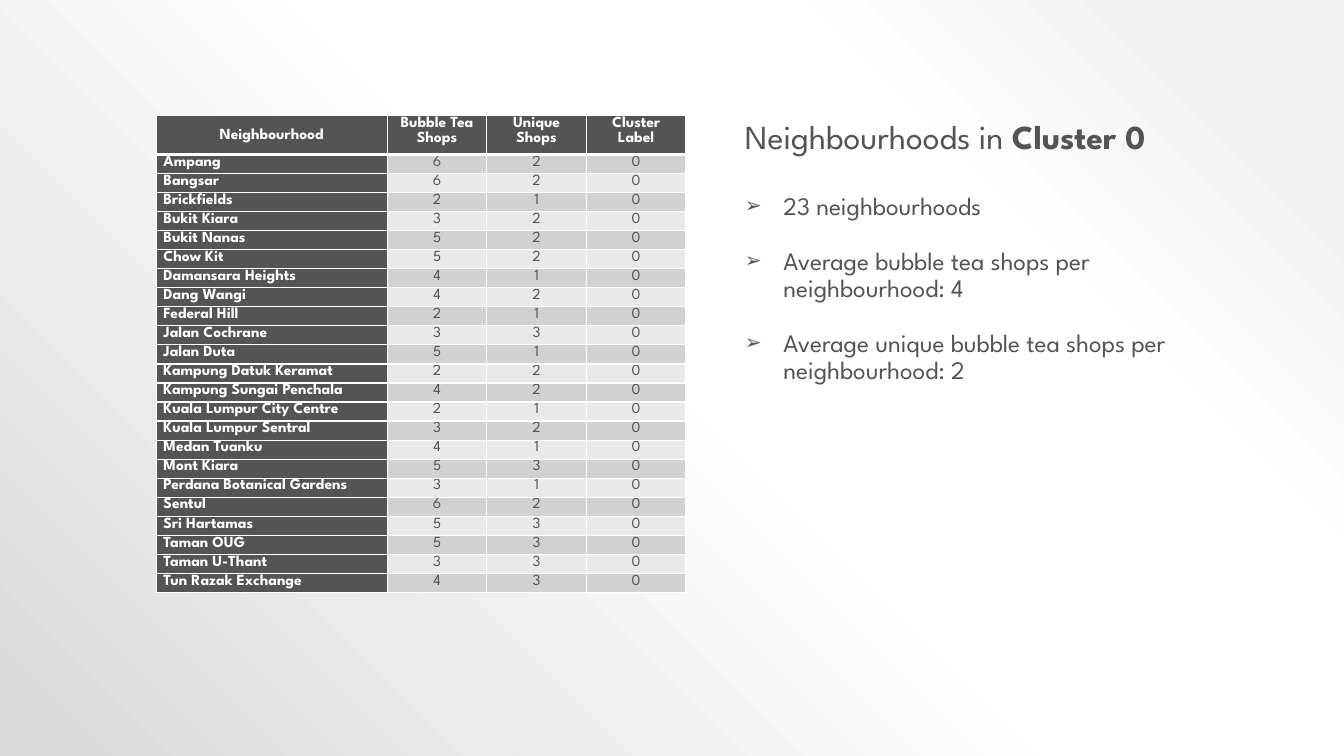
from typing import NamedTuple

from pptx import Presentation
from pptx import oxml
from pptx import util as u
from pptx.dml.color import RGBColor
from pptx.enum import text
from pptx.oxml import ns

FONT = "League Spartan"
CHARCOAL = RGBColor(0x54, 0x54, 0x54)
WHITE = RGBColor(0xFF, 0xFF, 0xFF)
BANDS = (RGBColor(0xD1, 0xD1, 0xD1), RGBColor(0xE9, 0xE9, 0xE9))
BACKDROP_STOPS = (
    (10, RGBColor(0xF2, 0xF2, 0xF2)),
    (28, WHITE),
    (48, WHITE),
    (100, RGBColor(0xD9, 0xD9, 0xD9)),
)

TOP = u.Cm(2.92)
HEADER_HEIGHT = u.Cm(0.97)
ROW_HEIGHT = u.Cm(0.48)
COLUMN_WIDTHS = (u.Cm(5.82), u.Cm(2.51), u.Cm(2.51), u.Cm(2.51))
PANEL_LEFT = u.Cm(18.52)
PANEL_WIDTH = u.Cm(13.21)
BULLET_INDENT = u.Cm(0.97)


class Neighbourhood(NamedTuple):
    name: str
    shops: int
    unique: int
    cluster: int = 0


class CellStyle(NamedTuple):
    fill: RGBColor
    ink: RGBColor
    bold: bool
    align: text.PP_ALIGN
    top_line: float = 1
    bottom_line: float = 1


HEADINGS = ("Neighbourhood", "Bubble Tea Shops", "Unique Shops", "Cluster Label")
NEIGHBOURHOODS = (
    Neighbourhood("Ampang", 6, 2),
    Neighbourhood("Bangsar", 6, 2),
    Neighbourhood("Brickfields", 2, 1),
    Neighbourhood("Bukit Kiara", 3, 2),
    Neighbourhood("Bukit Nanas", 5, 2),
    Neighbourhood("Chow Kit", 5, 2),
    Neighbourhood("Damansara Heights", 4, 1),
    Neighbourhood("Dang Wangi", 4, 2),
    Neighbourhood("Federal Hill", 2, 1),
    Neighbourhood("Jalan Cochrane", 3, 3),
    Neighbourhood("Jalan Duta", 5, 1),
    Neighbourhood("Kampung Datuk Keramat", 2, 2),
    Neighbourhood("Kampung Sungai Penchala", 4, 2),
    Neighbourhood("Kuala Lumpur City Centre", 2, 1),
    Neighbourhood("Kuala Lumpur Sentral", 3, 2),
    Neighbourhood("Medan Tuanku", 4, 1),
    Neighbourhood("Mont Kiara", 5, 3),
    Neighbourhood("Perdana Botanical Gardens", 3, 1),
    Neighbourhood("Sentul", 6, 2),
    Neighbourhood("Sri Hartamas", 5, 3),
    Neighbourhood("Taman OUG", 5, 3),
    Neighbourhood("Taman U-Thant", 3, 3),
    Neighbourhood("Tun Razak Exchange", 4, 3),
)
FINDINGS = (
    "23 neighbourhoods",
    "Average bubble tea shops per neighbourhood: 4",
    "Average unique bubble tea shops per neighbourhood: 2",
)


def paint_backdrop(slide) -> None:
    stops = "".join(
        f'<a:gs pos="{position * 1000}"><a:srgbClr val="{color}"/></a:gs>'
        for position, color in BACKDROP_STOPS
    )
    backdrop = oxml.parse_xml(
        f'<p:bg {ns.nsdecls("p", "a")}><p:bgPr><a:gradFill rotWithShape="1">'
        f'<a:gsLst>{stops}</a:gsLst><a:path path="circle">'
        '<a:fillToRect l="100000" b="100000"/></a:path></a:gradFill>'
        "<a:effectLst/></p:bgPr></p:bg>"
    )
    slide.element.cSld.insert(0, backdrop)


def format_runs(paragraph, size: float, ink: RGBColor, bold: bool) -> None:
    for run in paragraph.runs:
        run.font.name = FONT
        run.font.size = u.Pt(size)
        run.font.bold = bold
        run.font.color.rgb = ink


def place(placeholder, top: int, height: int) -> None:
    placeholder.left, placeholder.top = PANEL_LEFT, top
    placeholder.width, placeholder.height = PANEL_WIDTH, height
    placeholder.text_frame.auto_size = text.MSO_AUTO_SIZE.NONE
    placeholder.text_frame.vertical_anchor = text.MSO_ANCHOR.TOP


def write_title(title) -> None:
    place(title, TOP, u.Cm(1.6))
    title.text_frame.text = "Neighbourhoods in "
    heading = title.text_frame.paragraphs[0]
    cluster = heading.add_run()
    cluster.text = "Cluster 0"
    heading.alignment = text.PP_ALIGN.LEFT
    heading.line_spacing = 0.9
    format_runs(heading, 24, CHARCOAL, False)
    cluster.font.bold = True


def write_findings(body) -> None:
    place(body, u.Cm(4.76), u.Cm(5.76))
    body.text_frame.text = "\n".join(FINDINGS)
    for finding in body.text_frame.paragraphs:
        finding.line_spacing = 0.9
        finding.space_before = u.Pt(0)
        finding.space_after = u.Pt(19.6)
        format_runs(finding, 18, CHARCOAL, False)
        properties = finding._p.get_or_add_pPr()
        properties.set("marL", str(BULLET_INDENT))
        properties.set("indent", str(-BULLET_INDENT))
        for mark in (
            f'<a:buClr {ns.nsdecls("a")}><a:srgbClr val="{CHARCOAL}"/></a:buClr>',
            f'<a:buSzPct {ns.nsdecls("a")} val="80000"/>',
            f'<a:buChar {ns.nsdecls("a")} char="➢"/>',
        ):
            properties.append(oxml.parse_xml(mark))


def draw_borders(cell, style: CellStyle) -> None:
    sides = (("L", 1), ("R", 1), ("T", style.top_line), ("B", style.bottom_line))
    properties = cell._tc.get_or_add_tcPr()
    for position, (side, points) in enumerate(sides):
        line = oxml.parse_xml(
            f'<a:ln{side} {ns.nsdecls("a")} w="{u.Pt(points)}"><a:solidFill>'
            f'<a:srgbClr val="{WHITE}"/></a:solidFill></a:ln{side}>'
        )
        properties.insert(position, line)


def fill_cell(cell, content: str, style: CellStyle) -> None:
    cell.text_frame.text = content
    cell.margin_left = cell.margin_right = u.Cm(0.18)
    cell.margin_top = cell.margin_bottom = 0
    cell.fill.solid()
    cell.fill.fore_color.rgb = style.fill
    entry = cell.text_frame.paragraphs[0]
    entry.alignment = style.align
    entry.line_spacing = 1.07
    format_runs(entry, 11, style.ink, style.bold)
    draw_borders(cell, style)


def style_for(row: int, column: int) -> CellStyle:
    center = text.PP_ALIGN.CENTER
    if row == 0:
        return CellStyle(CHARCOAL, WHITE, True, center, bottom_line=3)
    top_line = 3 if row == 1 else 1
    if column == 0:
        return CellStyle(CHARCOAL, WHITE, True, text.PP_ALIGN.LEFT, top_line)
    return CellStyle(BANDS[(row - 1) % 2], CHARCOAL, False, center, top_line)


def draw_table(slide) -> None:
    records = (HEADINGS, *NEIGHBOURHOODS)
    height = HEADER_HEIGHT + ROW_HEIGHT * len(NEIGHBOURHOODS)
    table = slide.shapes.add_table(
        len(records), len(HEADINGS), u.Cm(3.94), TOP, sum(COLUMN_WIDTHS), height
    ).table
    for column, width in zip(table.columns, COLUMN_WIDTHS):
        column.width = width
    for row, record in enumerate(records):
        table.rows[row].height = ROW_HEIGHT if row else HEADER_HEIGHT
        for column, value in enumerate(record):
            fill_cell(table.cell(row, column), str(value), style_for(row, column))
    table.cell(0, 0).vertical_anchor = text.MSO_ANCHOR.MIDDLE


def main() -> None:
    deck = Presentation()
    deck.slide_width, deck.slide_height = u.Cm(33.87), u.Cm(19.05)
    slide = deck.slides.add_slide(deck.slide_layouts[1])
    paint_backdrop(slide)
    write_title(slide.shapes.title)
    write_findings(slide.placeholders[1])
    draw_table(slide)
    deck.save("out.pptx")


if __name__ == "__main__":
    main()
